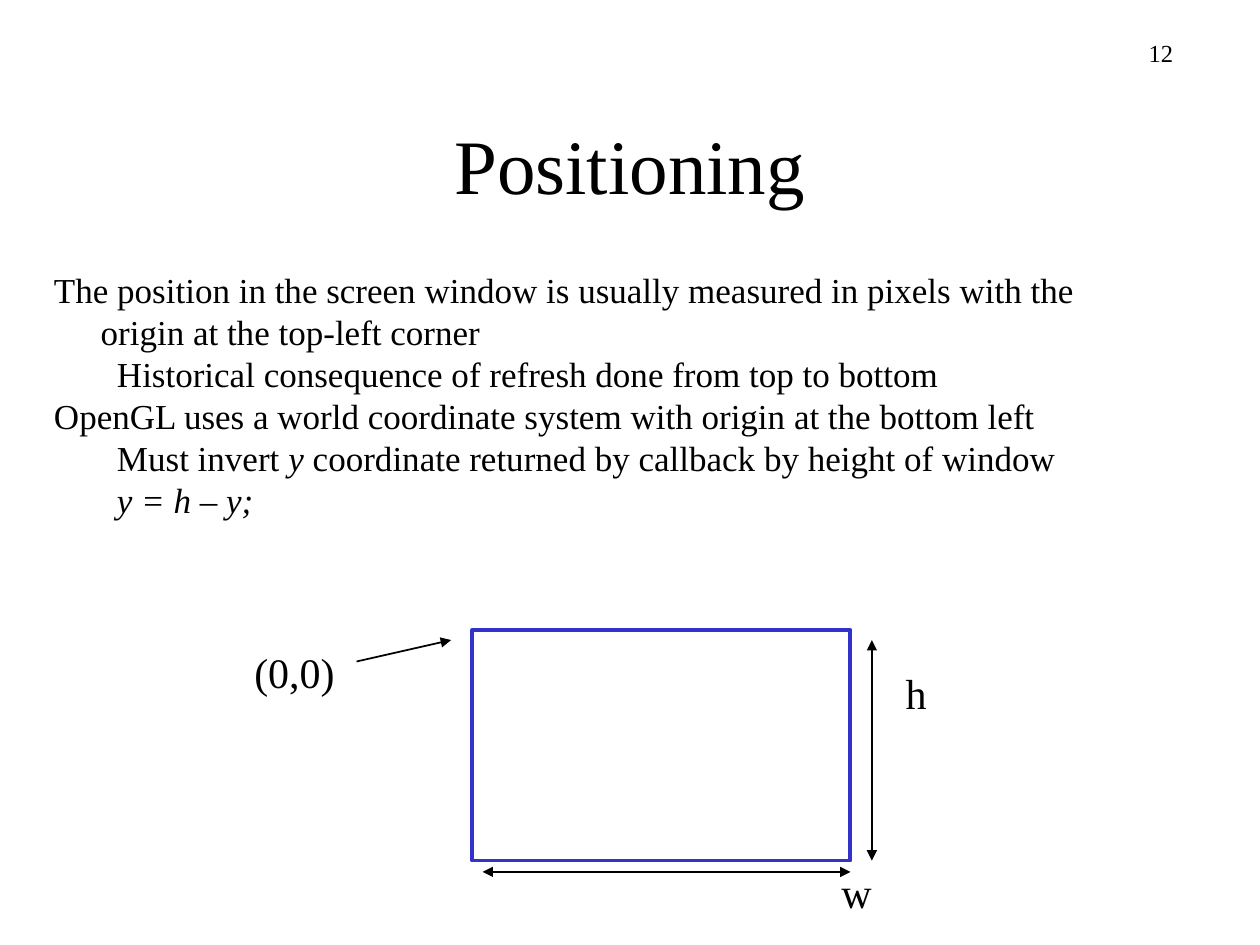
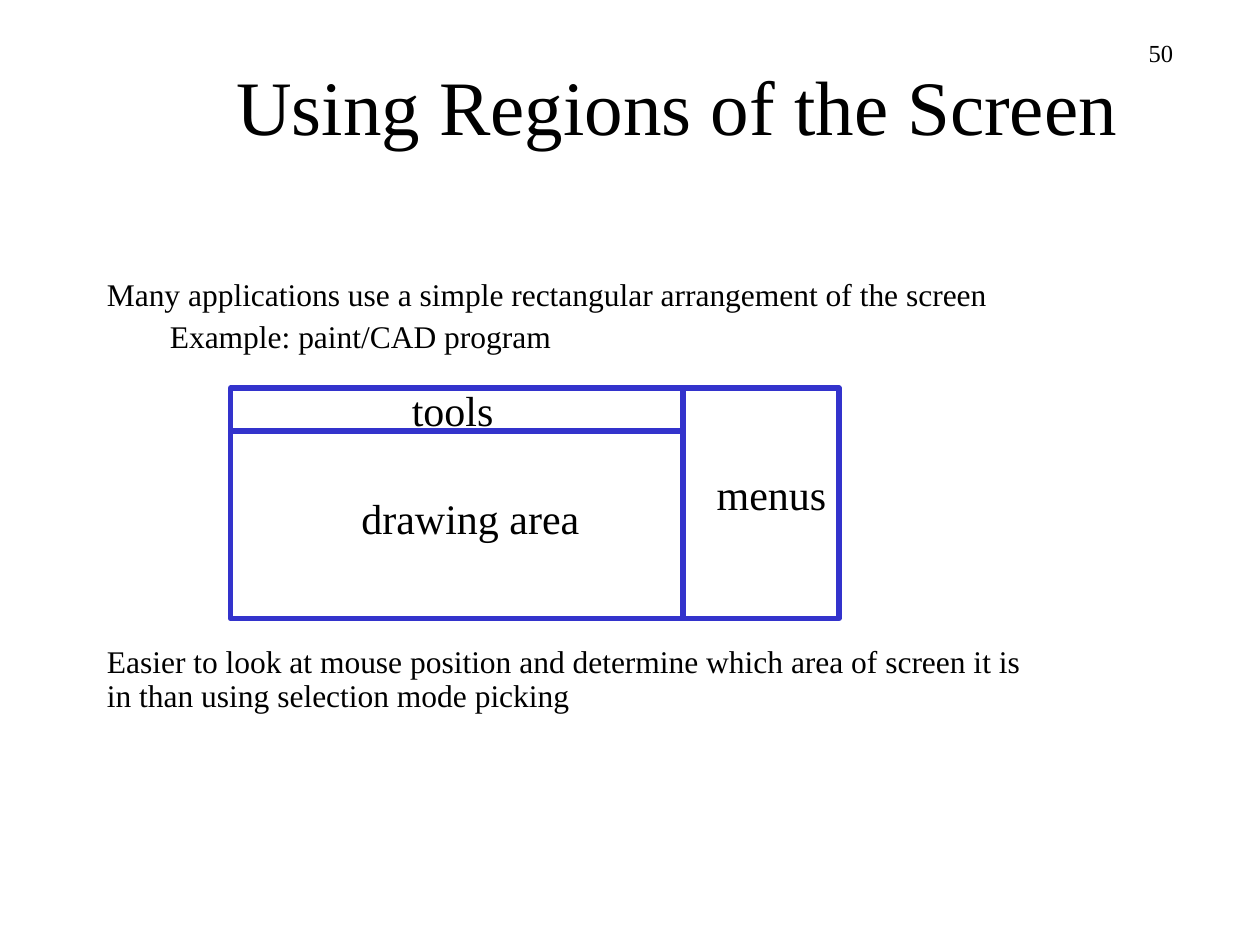
from lxml.etree import SubElement
from pptx import Presentation
from pptx.dml.color import RGBColor
from pptx.enum.shapes import MSO_CONNECTOR, MSO_SHAPE
from pptx.enum.text import MSO_ANCHOR, PP_ALIGN
from pptx.oxml.ns import qn
from pptx.util import Inches, Pt

FONT = "Times New Roman"
BLACK, WHITE, BLUE = "000000", "FFFFFF", "3333CC"
HANGING = {0: (0.37, -0.37), 1: (0.81, -0.31)}


def color(value):
    """Turn a hex string into a colour."""
    return RGBColor.from_string(value)


def add_text(slide, box, lines, size, align=PP_ALIGN.LEFT, anchor=MSO_ANCHOR.TOP,
             wrap=True, spacing=None, gap=0):
    """Add a text box of (level, text) lines, where *stars* mark italics."""
    shape = slide.shapes.add_textbox(*map(Inches, box))
    frame = shape.text_frame
    frame.word_wrap = wrap
    frame.vertical_anchor = anchor
    for index, (level, text) in enumerate(lines):
        paragraph = frame.add_paragraph() if index else frame.paragraphs[0]
        paragraph.alignment = align
        if spacing:
            paragraph.line_spacing = spacing
        if index and gap:
            paragraph.space_before = Pt(gap)
        if level is not None:
            paragraph.level = level
            margin, indent = HANGING[level]
            properties = paragraph._p.get_or_add_pPr()
            properties.set("marL", str(Inches(margin)))
            properties.set("indent", str(Inches(indent)))
        for part, piece in enumerate(text.split("*")):
            if piece:
                run = paragraph.add_run()
                run.text = piece
                run.font.name = FONT
                run.font.size = Pt(size)
                run.font.italic = part % 2 == 1
                run.font.color.rgb = color(BLACK)
    return shape


def add_label(slide, left, top, width, text):
    """Add a one-line diagram label."""
    return add_text(slide, (left, top, width, 0.5), [(None, text)], 24, wrap=False)


def add_frame(slide, box, weight):
    """Add a white rectangle with a blue outline."""
    shape = slide.shapes.add_shape(MSO_SHAPE.RECTANGLE, *map(Inches, box))
    shape.shadow.inherit = False
    shape.fill.solid()
    shape.fill.fore_color.rgb = color(WHITE)
    shape.line.color.rgb = color(BLUE)
    shape.line.width = Pt(weight)
    return shape


def add_line(slide, start, end, line_color, weight, arrows=()):
    """Add a straight line with arrowheads at the named ends."""
    connector = slide.shapes.add_connector(
        MSO_CONNECTOR.STRAIGHT, *map(Inches, (*start, *end)))
    connector.line.color.rgb = color(line_color)
    connector.line.width = Pt(weight)
    outline = connector.line._get_or_add_ln()
    for arrow in arrows:
        SubElement(outline, qn(f"a:{arrow}"), type="triangle")
    SubElement(connector._element.spPr, qn("a:effectLst"))
    return connector


def add_slide(presentation, number, title, title_box):
    """Add a blank slide with its page number and centred title."""
    slide = presentation.slides.add_slide(presentation.slide_layouts[6])
    add_text(slide, (7.33, 0.25, 2.08, 0.5), [(None, number)], 14, PP_ALIGN.RIGHT)
    add_text(slide, title_box, [(None, title)], 44, PP_ALIGN.CENTER, MSO_ANCHOR.MIDDLE)
    return slide


def add_positioning(presentation):
    """Build the slide on window and world coordinates."""
    slide = add_slide(presentation, "12", "Positioning", (0.75, 0.67, 8.5, 1.25))
    both_ends = ("headEnd", "tailEnd")
    add_frame(slide, (3.75, 5, 3, 1.83), 2.25)
    add_line(slide, (2.83, 5.25), (3.58, 5.08), BLACK, 1, ("tailEnd",))
    add_text(slide, (0.33, 2.08, 8.58, 4.25), [
        (0, "The position in the screen window is usually measured in pixels "
            "with the origin at the top-left corner"),
        (1, "Historical consequence of refresh done from top to bottom"),
        (0, "OpenGL uses a world coordinate system with origin at the bottom left"),
        (1, "Must invert *y* coordinate returned by callback by height of window"),
        (1, "*y = h – y;*"),
    ], 20)
    add_label(slide, 1.92, 5.08, 0.84, "(0,0)")
    add_line(slide, (6.92, 5.08), (6.92, 6.83), BLACK, 1, both_ends)
    add_label(slide, 7.09, 5.25, 0.36, "h")
    add_line(slide, (3.83, 6.92), (6.75, 6.92), BLACK, 1, both_ends)
    add_label(slide, 6.58, 6.83, 0.44, "w")


def add_regions(presentation):
    """Build the slide on dividing the screen into regions."""
    slide = add_slide(presentation, "50", "Using Regions of the Screen",
                      (1.5, 0.25, 7.75, 1.17))
    add_text(slide, (0.75, 2.17, 8.5, 4.5), [
        (0, "Many applications use a simple rectangular arrangement of the screen"),
        (1, "Example: paint/CAD program"),
    ], 18, spacing=0.9, gap=4.5)
    left, top, width, height = screen = (1.83, 3.08, 4.83, 1.83)
    menu_left, tools_bottom = 5.42, 3.42
    add_frame(slide, screen, 3)
    add_line(slide, (menu_left, top), (menu_left, top + height), BLUE, 3)
    add_line(slide, (left, tools_bottom), (menu_left, tools_bottom), BLUE, 3)
    add_label(slide, 2.77, 3.86, 1.93, "drawing area")
    add_label(slide, 3.17, 3, 0.85, "tools")
    add_label(slide, 5.59, 3.67, 1.07, "menus")
    add_text(slide, (0.75, 5.08, 7.58, 0.64), [
        (None, "Easier to look at mouse position and determine which area of "
               "screen it is in than using selection mode picking"),
    ], 18, spacing=0.9)


def main():
    """Build and save the presentation."""
    presentation = Presentation()
    presentation.slide_width = Inches(10)
    presentation.slide_height = Inches(7.5)
    add_positioning(presentation)
    add_regions(presentation)
    presentation.save("out.pptx")


if __name__ == "__main__":
    main()
